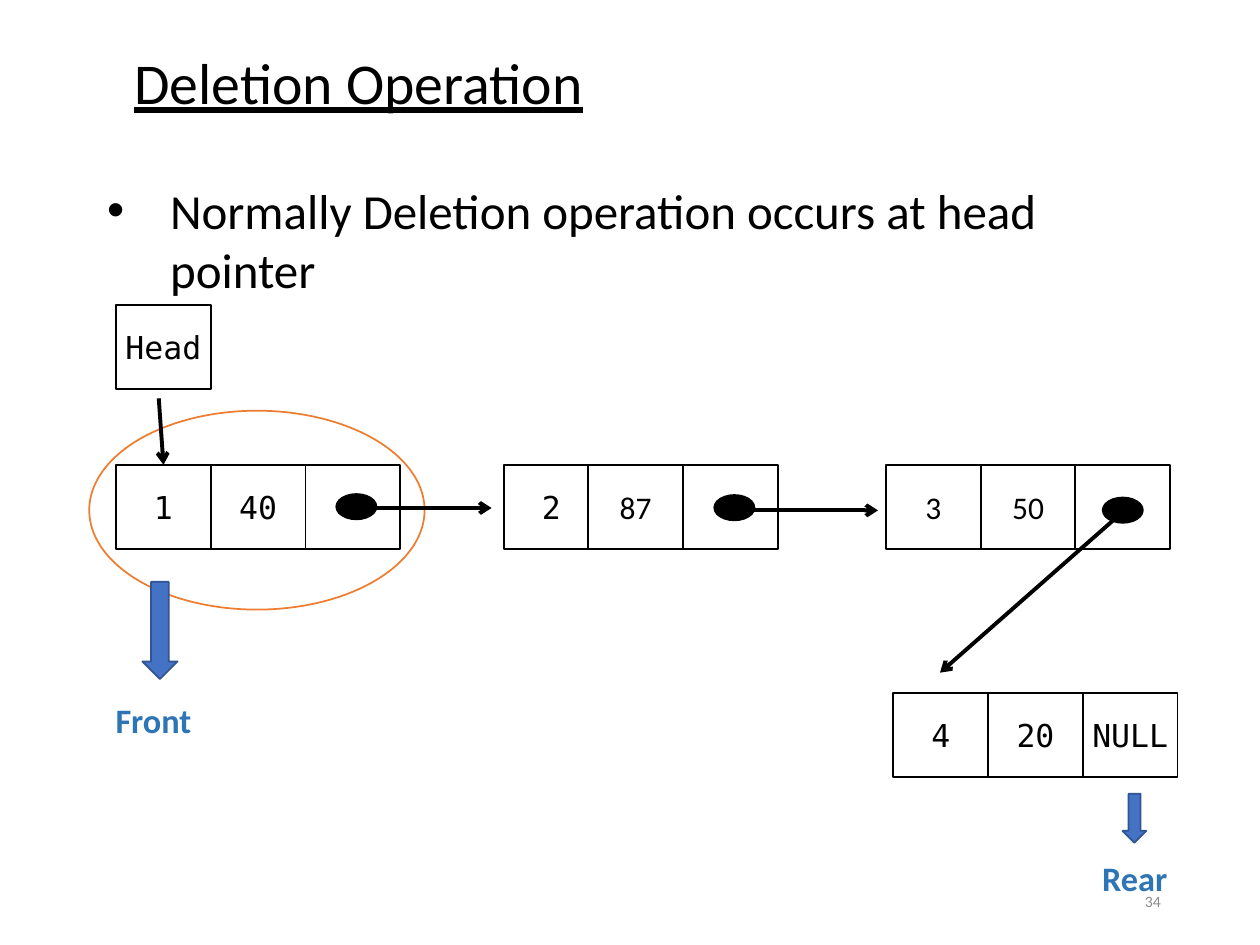
from dataclasses import dataclass, field
from typing import Any, Optional

from lxml.etree import SubElement
from pptx import Presentation
from pptx.dml.color import RGBColor
from pptx.enum.shapes import MSO_CONNECTOR, MSO_SHAPE
from pptx.enum.text import MSO_ANCHOR, PP_ALIGN
from pptx.oxml.ns import qn
from pptx.util import Cm, Pt

COLOURS = {
    "ink": "000000",
    "paper": "FFFFFF",
    "highlight": "ED7D31",
    "pointer": "4472C4",
    "pointer_edge": "325491",
    "label": "2E75B6",
    "page": "8C8C8C",
}
SANS, MONO = "Calibri", "DejaVu Sans Mono"
CELL_WIDTH, CELL_HEIGHT = 1.91, 1.7
LIST_TOP = 9.37


@dataclass
class Cells:
    left: float
    top: float
    values: tuple[str, ...]
    font: str = MONO


@dataclass
class Figure:
    preset: MSO_SHAPE
    box: tuple[float, float, float, float]
    fill: str
    edge: str


@dataclass
class Caption:
    text: str
    box: tuple[float, float, float, float]
    font: dict[str, Any]
    colour: str = "ink"
    frame: dict[str, Any] = field(default_factory=dict)
    paragraph: dict[str, Any] = field(default_factory=dict)
    bullet: bool = False


@dataclass
class Link:
    start: tuple[float, float]
    end: tuple[float, float]
    target: Optional[str] = None


LABEL_FONT = {"name": SANS, "size": Pt(19.6), "bold": True}
MIDDLE = {"vertical_anchor": MSO_ANCHOR.MIDDLE}

CELL_ROWS = [
    Cells(2.34, LIST_TOP, ("1", "40", "")),
    Cells(10.16, LIST_TOP, ("2",)),
    Cells(11.86, LIST_TOP, ("87", ""), SANS),
    Cells(17.86, LIST_TOP, ("3", "50", ""), SANS),
    Cells(18.01, 13.97, ("4", "20", "NULL")),
    Cells(2.34, 6.15, ("Head",)),
]
DELETED_NODE = Figure(MSO_SHAPE.OVAL, (1.8, 8.28, 6.76, 4.01), "paper", "highlight")
POINTERS = [
    Figure(MSO_SHAPE.DOWN_ARROW, (2.87, 11.73, 0.71, 1.96), "pointer", "pointer_edge"),
    Figure(MSO_SHAPE.DOWN_ARROW, (22.63, 16, 0.48, 0.99), "pointer", "pointer_edge"),
]
DOTS = [
    Figure(MSO_SHAPE.OVAL, (left, top, 0.81, 0.51), "ink", "ink")
    for left, top in ((6.78, 9.96), (14.4, 9.98), (22.23, 10.03))
]
LINKS = [
    Link((7.42, 10.24), (9.91, 10.24)),
    Link((15.19, 10.29), (17.7, 10.29)),
    Link((22.53, 10.41), (18.95, 13.56)),
    Link((3.2, 8.03), (3.23, 9.4), "1"),
]
CAPTIONS = [
    Caption("Deletion Operation", (2.46, 0.13, 22.43, 3.18),
            {"name": SANS, "size": Pt(33), "underline": True},
            frame=MIDDLE, paragraph={"line_spacing": 0.9}),
    Caption("Normally Deletion operation occurs at head pointer",
            (1.91, 3.51, 20.96, 2.64), {"name": SANS, "size": Pt(28)}, bullet=True),
    Caption("Front", (2.08, 13.97, 2.36, 1.02), LABEL_FONT, "label"),
    Caption("Rear", (21.97, 17.15, 2.36, 1.02), LABEL_FONT, "label"),
    Caption("34", (17.93, 17.65, 5.72, 1.02), {"name": SANS, "size": Pt(9)}, "page",
            frame=MIDDLE, paragraph={"alignment": PP_ALIGN.RIGHT}),
]


def colour(key: str) -> RGBColor:
    """Return the named colour."""
    return RGBColor.from_string(COLOURS[key])


def apply(target: Any, values: dict[str, Any]) -> None:
    """Set every format value on the target."""
    for name, value in values.items():
        setattr(target, name, value)


def draw_figure(slide: Any, figure: Figure) -> Any:
    """Draw a filled and outlined preset shape."""
    shape = slide.shapes.add_shape(figure.preset, *map(Cm, figure.box))
    shape.shadow.inherit = False
    shape.fill.solid()
    shape.fill.fore_color.rgb = colour(figure.fill)
    shape.line.color.rgb = colour(figure.edge)
    shape.line.width = Pt(1)
    return shape


def draw_cells(slide: Any, row: Cells) -> dict[str, Any]:
    """Draw adjoining cells and return those with a value."""
    drawn = {}
    for column, value in enumerate(row.values):
        box = (row.left + column * CELL_WIDTH, row.top, CELL_WIDTH, CELL_HEIGHT)
        cell = draw_figure(slide, Figure(MSO_SHAPE.RECTANGLE, box, "paper", "ink"))
        if value:
            apply(cell.text_frame, {"text": value, "word_wrap": False, **MIDDLE})
            paragraph = cell.text_frame.paragraphs[0]
            paragraph.alignment = PP_ALIGN.CENTER
            apply(paragraph.runs[0].font, {"name": row.font, "size": Pt(18)})
            paragraph.runs[0].font.color.rgb = colour("ink")
            drawn[value] = cell
    return drawn


def draw_caption(slide: Any, caption: Caption) -> None:
    """Draw a text box, with a bullet where asked."""
    frame = slide.shapes.add_textbox(*map(Cm, caption.box)).text_frame
    apply(frame, {"text": caption.text, "word_wrap": True, **caption.frame})
    paragraph = frame.paragraphs[0]
    apply(paragraph, caption.paragraph)
    if caption.bullet:
        properties = paragraph._p.get_or_add_pPr()
        properties.set("marL", str(Cm(1.27)))
        properties.set("indent", str(-Cm(1.27)))
        SubElement(properties, qn("a:buFont"), typeface="Arial")
        SubElement(properties, qn("a:buChar"), char="•")
    font = paragraph.runs[0].font
    apply(font, caption.font)
    font.color.rgb = colour(caption.colour)


def draw_link(slide: Any, link: Link, cells: dict[str, Any]) -> None:
    """Draw an arrow, joined to the top of its target cell if it has one."""
    points = map(Cm, (*link.start, *link.end))
    arrow = slide.shapes.add_connector(MSO_CONNECTOR.STRAIGHT, *points)
    if link.target:
        arrow.end_connect(cells[link.target], 0)
    arrow.line.color.rgb = colour("ink")
    arrow.line.width = Pt(2.25)
    SubElement(arrow.line._get_or_add_ln(), qn("a:tailEnd"), type="arrow")
    SubElement(arrow._element.spPr, qn("a:effectLst"))


def main() -> None:
    """Build the deletion slide."""
    deck = Presentation()
    apply(deck, {"slide_width": Cm(25.4), "slide_height": Cm(19.05)})
    slide = deck.slides.add_slide(deck.slide_layouts[6])
    draw_figure(slide, DELETED_NODE)
    cells = {}
    for row in CELL_ROWS:
        cells.update(draw_cells(slide, row))
    for figure in POINTERS + DOTS:
        draw_figure(slide, figure)
    for link in LINKS:
        draw_link(slide, link, cells)
    for caption in CAPTIONS:
        draw_caption(slide, caption)
    deck.save("out.pptx")


if __name__ == "__main__":
    main()
